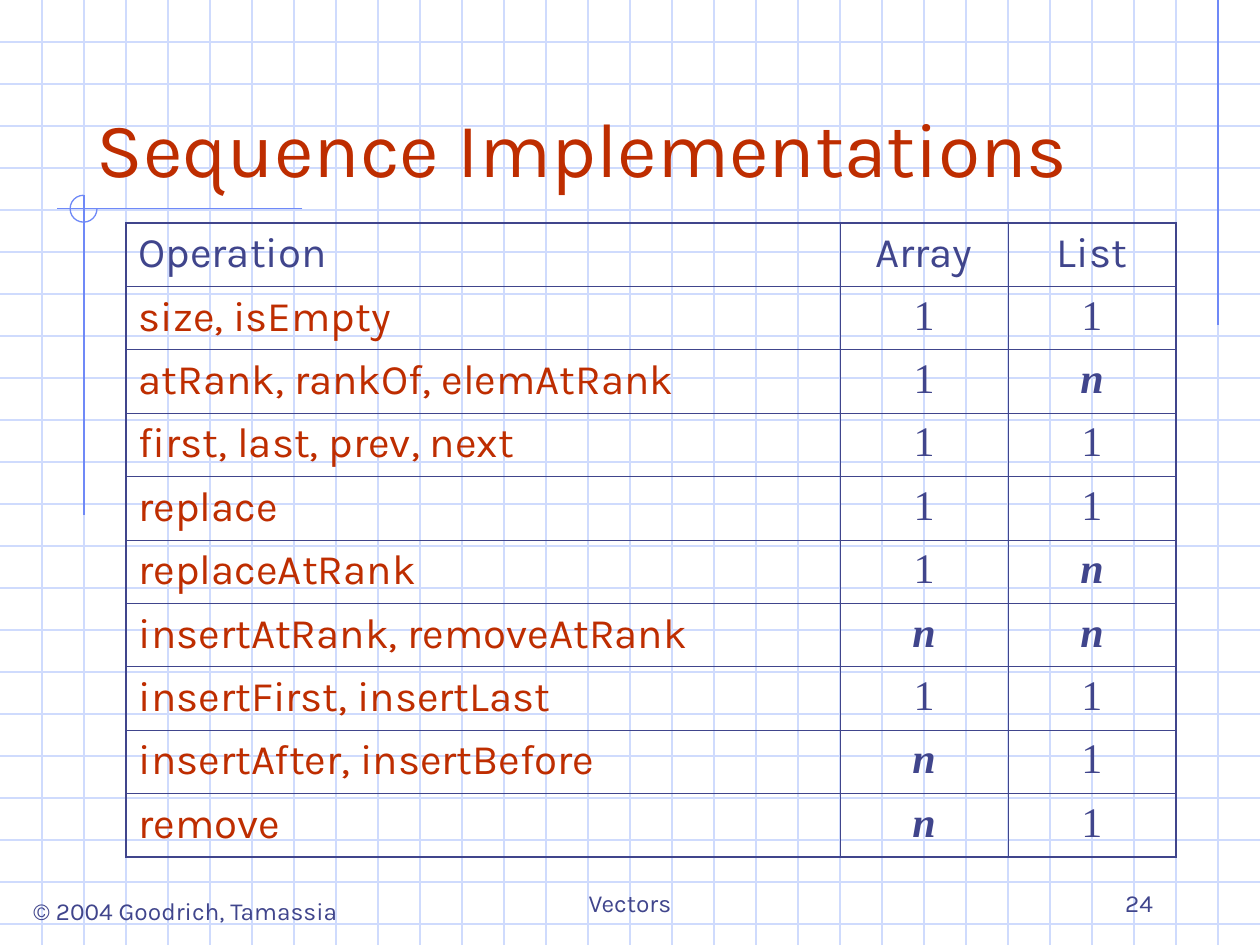
import dataclasses

import lxml.etree
import pptx
import pptx.dml.color
import pptx.enum.shapes
import pptx.enum.text
import pptx.oxml.ns
import pptx.util

ALIGN = pptx.enum.text.PP_ALIGN
ANCHOR = pptx.enum.text.MSO_ANCHOR


@dataclasses.dataclass(frozen=True)
class Theme:
    grid: str = "CFDBFD"
    accent: str = "6F89F7"
    ink: str = "40458C"
    highlight: str = "BE2D00"
    sans: str = "Karla"
    serif: str = "Times New Roman"
    title_size: int = 44
    table_size: int = 24
    footer_size: int = 14
    line_width: float = 0.75
    outer_border: float = 1.08
    inner_border: float = 0.45


class GridSlide:
    COLUMNS = 30
    ROWS = 22.5

    def __init__(self, presentation, theme):
        self.theme = theme
        self.unit = presentation.slide_width / self.COLUMNS
        self.slide = presentation.slides.add_slide(presentation.slide_layouts[5])
        self.shapes = self.slide.shapes

    def lengths(self, *cells):
        return [round(cell * self.unit) for cell in cells]

    def color(self, value):
        return pptx.dml.color.RGBColor.from_string(value)

    def format_text(self, paragraph, size, color, font=None, align=ALIGN.LEFT):
        paragraph.alignment = align
        paragraph.font.size = pptx.util.Pt(size)
        paragraph.font.name = font or self.theme.sans
        paragraph.font.color.rgb = self.color(color)

    def style_line(self, shape, color):
        shape.line.color.rgb = self.color(color)
        shape.line.width = pptx.util.Pt(self.theme.line_width)

    def line(self, start, end, color):
        connector = self.shapes.add_connector(
            pptx.enum.shapes.MSO_CONNECTOR.STRAIGHT, *self.lengths(*start, *end))
        self.style_line(connector, color)
        properties = connector.element.spPr
        lxml.etree.SubElement(properties, pptx.oxml.ns.qn("a:effectLst"))

    def background_grid(self):
        for row in range(1, int(self.ROWS) + 1):
            self.line((0, row), (self.COLUMNS, row), self.theme.grid)
        for column in range(1, self.COLUMNS):
            self.line((column, 0), (column, self.ROWS), self.theme.grid)

    def arc(self, left, top, size, start_angle, end_angle):
        arc = self.shapes.add_shape(
            pptx.enum.shapes.MSO_SHAPE.ARC, *self.lengths(left, top, size, size))
        for index, angle in enumerate((start_angle, end_angle)):
            arc.adjustments[index] = angle * 0.6
        arc.shadow.inherit = False
        arc.fill.background()
        self.style_line(arc, self.theme.accent)

    def title(self, text, left, top, width, height):
        title = self.shapes.title
        title.left, title.top, title.width, title.height = self.lengths(left, top, width, height)
        frame = title.text_frame
        frame.text = text
        frame.auto_size = pptx.enum.text.MSO_AUTO_SIZE.NONE
        frame.vertical_anchor = ANCHOR.BOTTOM
        self.format_text(frame.paragraphs[0], self.theme.title_size, self.theme.highlight)
        self.shapes.element.append(title.element)

    def footer(self, text, left, top, width, height, align, anchor=ANCHOR.BOTTOM, wrap=True):
        box = self.shapes.add_textbox(*self.lengths(left, top, width, height))
        frame = box.text_frame
        frame.text = text
        frame.word_wrap = wrap
        frame.vertical_anchor = anchor
        self.format_text(frame.paragraphs[0], self.theme.footer_size, self.theme.ink, align=align)

    def cell_border(self, cell, side, width):
        qn = pptx.oxml.ns.qn
        properties = cell._tc.get_or_add_tcPr()
        border = lxml.etree.SubElement(
            properties, qn(f"a:ln{side}"), w=str(pptx.util.Pt(width)))
        fill = lxml.etree.SubElement(border, qn("a:solidFill"))
        lxml.etree.SubElement(fill, qn("a:srgbClr"), val=self.theme.ink)

    def table(self, rows, left, top, column_widths, row_height):
        theme = self.theme
        table = self.shapes.add_table(
            len(rows), len(column_widths),
            *self.lengths(left, top, sum(column_widths), row_height * len(rows))).table
        table.first_row = table.horz_banding = False
        for column, width in zip(table.columns, self.lengths(*column_widths)):
            column.width = width
        last_row, last_column = len(rows) - 1, len(column_widths) - 1
        for row_index, values in enumerate(rows):
            table.rows[row_index].height = self.lengths(row_height)[0]
            for column_index, value in enumerate(values):
                cell = table.cell(row_index, column_index)
                cell.text = value
                is_header, is_name = row_index == 0, column_index == 0
                paragraph = cell.text_frame.paragraphs[0]
                self.format_text(
                    paragraph, theme.table_size,
                    theme.highlight if is_name and not is_header else theme.ink,
                    theme.sans if is_name or is_header else theme.serif,
                    ALIGN.LEFT if is_name else ALIGN.CENTER)
                paragraph.font.bold = paragraph.font.italic = value == "n"
                outer_sides = {"L": is_name, "R": column_index == last_column,
                               "T": is_header, "B": row_index == last_row}
                for side, is_outer in outer_sides.items():
                    width = theme.outer_border if is_outer else theme.inner_border
                    self.cell_border(cell, side, width)
                cell.fill.background()


OPERATIONS = [
    ("Operation", "Array", "List"),
    ("size, isEmpty", "1", "1"),
    ("atRank, rankOf, elemAtRank", "1", "n"),
    ("first, last, prev, next", "1", "1"),
    ("replace", "1", "1"),
    ("replaceAtRank", "1", "n"),
    ("insertAtRank, removeAtRank", "n", "n"),
    ("insertFirst, insertLast", "1", "1"),
    ("insertAfter, insertBefore", "n", "1"),
    ("remove", "n", "1"),
]


def main():
    presentation = pptx.Presentation()
    presentation.slide_width = pptx.util.Inches(10)
    presentation.slide_height = pptx.util.Inches(7.5)
    theme = Theme()
    slide = GridSlide(presentation, theme)

    slide.background_grid()
    slide.line((29, 0), (29, 7.75), theme.accent)
    slide.line((7.2, 4.97), (1.35, 4.97), theme.accent)
    slide.line((2, 4.65), (2, 12.27), theme.accent)
    slide.arc(1.67, 4.65, 0.64, 0, 270)

    slide.footer("© 2004 Goodrich, Tamassia", 0.35, 21.18, 8.13, 1.01,
                 ALIGN.CENTER, ANCHOR.TOP, wrap=False)
    slide.title("Sequence Implementations", 2, 1, 26.5, 3.75)
    slide.table(OPERATIONS, 3, 5.31, (17, 4, 4), 1.51)
    slide.footer("Vectors", 10.25, 20.5, 9.5, 1.5, ALIGN.CENTER)
    slide.footer("24", 21.5, 20.5, 6.25, 1.5, ALIGN.RIGHT)

    presentation.save("out.pptx")


if __name__ == "__main__":
    main()
